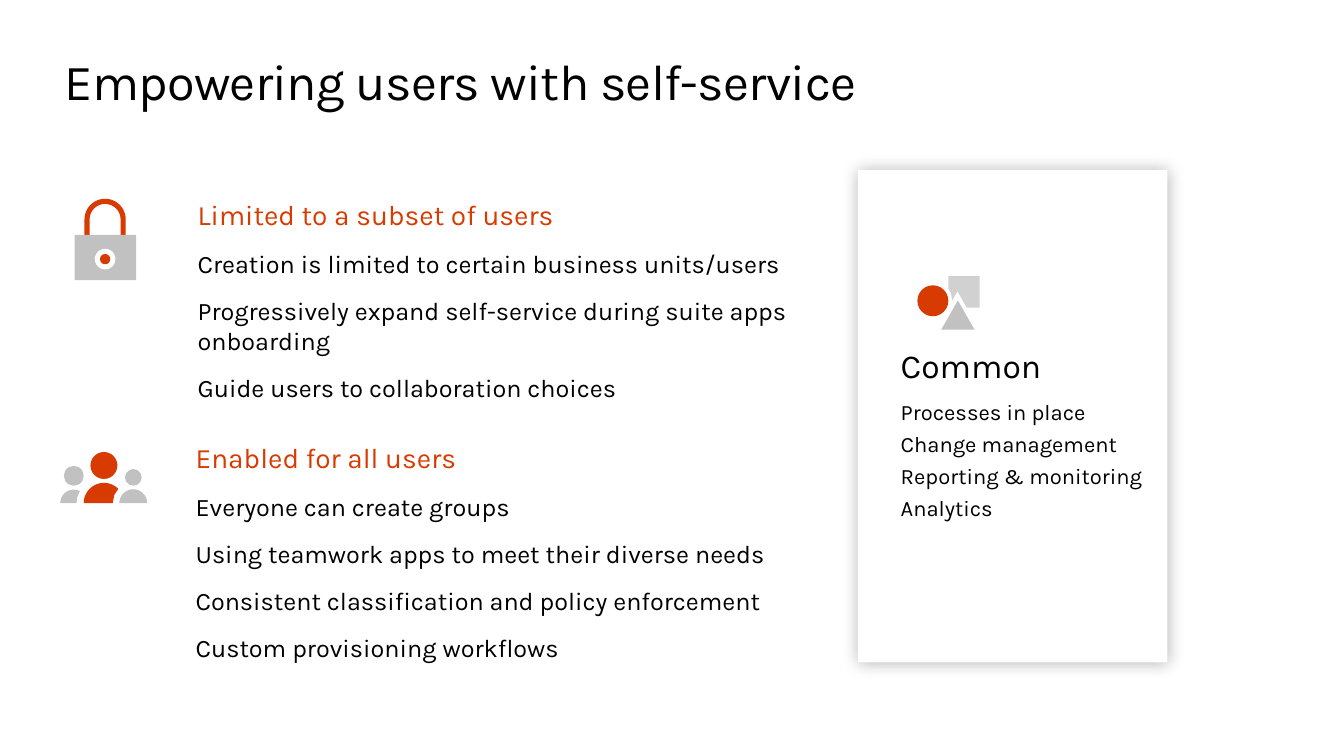
"""Builds the slide on empowering users with self-service."""
import math

from lxml import etree
from pptx import Presentation
from pptx import util as u
from pptx.dml.color import RGBColor
from pptx.enum import shapes, text
from pptx.oxml import ns

COLOURS = {
    "text": "000000",
    "accent": "D83B01",
    "grey": "C1C1C1",
    "light": "D1D1D1",
    "white": "FFFFFF",
}


def arc(x, y, radius, start, end, steps=24):
    angles = [math.radians(start + (end - start) * i / steps) for i in range(steps + 1)]
    return [(x + radius * math.cos(a), y + radius * math.sin(a)) for a in angles]


class SlideBuilder:
    """Holds the style and the current slide."""

    font = "Karla"

    def __init__(self, slide):
        self.slide = slide

    def colour(self, name):
        return RGBColor.from_string(COLOURS[name])

    def paint(self, shape, colour):
        shape.shadow.inherit = False
        shape.fill.solid()
        shape.fill.fore_color.rgb = self.colour(colour)
        shape.line.fill.background()
        return shape

    def preset(self, kind, x, y, width, height, colour):
        shape = self.slide.shapes.add_shape(kind, u.Cm(x), u.Cm(y), u.Cm(width), u.Cm(height))
        return self.paint(shape, colour)

    def circle(self, x, y, radius, colour):
        kind = shapes.MSO_SHAPE.OVAL
        return self.preset(kind, x - radius, y - radius, 2 * radius, 2 * radius, colour)

    def outline(self, points, colour):
        points = [(u.Cm(x), u.Cm(y)) for x, y in points]
        builder = self.slide.shapes.build_freeform(*points[0])
        builder.add_line_segments(points[1:], close=True)
        return self.paint(builder.convert_to_shape(), colour)

    def card(self, x, y, width, height):
        shape = self.preset(shapes.MSO_SHAPE.RECTANGLE, x, y, width, height, "white")
        effects = shape._element.spPr.find(ns.qn("a:effectLst"))
        shadow = etree.SubElement(effects, ns.qn("a:outerShdw"), blurRad=str(u.Pt(12)), dist="0", dir="0")
        black = etree.SubElement(shadow, ns.qn("a:srgbClr"), val=COLOURS["text"])
        etree.SubElement(black, ns.qn("a:alpha"), val="29000")

    def text_box(self, x, y, width, height, inset=0):
        box = self.slide.shapes.add_textbox(u.Cm(x), u.Cm(y), u.Cm(width), u.Cm(height))
        frame = box.text_frame
        frame.word_wrap = True
        frame.vertical_anchor = text.MSO_ANCHOR.TOP
        frame.margin_left = frame.margin_right = u.Cm(inset)
        frame.margin_top = frame.margin_bottom = u.Cm(inset)
        return frame

    def fill_paragraph(self, paragraph, words, size, colour="text", before=0, after=0, line=1.0):
        paragraph.text = words
        paragraph.space_before = u.Pt(before)
        paragraph.space_after = u.Pt(after)
        paragraph.line_spacing = line
        paragraph.font.name = self.font
        paragraph.font.size = u.Pt(size)
        paragraph.font.color.rgb = self.colour(colour)

    def title(self, words):
        paragraph = self.text_box(1.63, 1.27, 30.6, 1.55).paragraphs[0]
        self.fill_paragraph(paragraph, words, 36)
        paragraph.runs[0]._r.get_or_add_rPr().set("spc", "-50")

    def section(self, x, y, height, heading, points):
        frame = self.text_box(x, y, 17.15, height)
        self.fill_paragraph(frame.paragraphs[0], heading, 20, "accent", after=6)
        for point in points:
            self.fill_paragraph(frame.add_paragraph(), point, 18, before=6, after=6)

    def common_list(self, heading, items):
        frame = self.text_box(22.45, 8.43, 7.8, 6.6, inset=0.25)
        self.fill_paragraph(frame.paragraphs[0], heading, 24, after=11.8)
        for item in items:
            self.fill_paragraph(frame.add_paragraph(), item, 15.7, after=5.9, line=0.9)

    def lock_icon(self, x, top):
        shackle = [(x - 0.52, top), *arc(x, top - 0.39, 0.52, 180, 360), (x + 0.52, top),
                   (x + 0.39, top), *arc(x, top - 0.39, 0.39, 360, 180), (x - 0.39, top)]
        self.outline(shackle, "accent")
        self.preset(shapes.MSO_SHAPE.RECTANGLE, x - 0.77, top, 1.55, 1.14, "grey")
        self.circle(x, top + 0.61, 0.26, "white")
        self.circle(x, top + 0.61, 0.13, "accent")

    def people_icon(self, base):
        people = [
            (1.86, 0.34, 297, [(1.95, base - 0.16), (1.93, base)], 0.69, 0.25, "grey"),
            (2.62, 0.51, 315, [(2.88, base - 0.21), (2.84, base)], 0.95, 0.34, "accent"),
            (3.36, 0.35, 360, [], 0.65, 0.21, "grey"),
        ]
        for x, shoulder, end, notch, rise, head, colour in people:
            self.outline(arc(x, base, shoulder, 180, end) + notch, colour)
            self.circle(x, base - rise, head, colour)

    def shapes_icon(self):
        self.circle(23.51, 7.58, 0.39, "accent")
        self.preset(shapes.MSO_SHAPE.ISOSCELES_TRIANGLE, 23.72, 7.57, 0.84, 0.74, "grey")
        self.outline([(23.9, 7.26), (23.97, 7.41), (24, 7.57), (24.13, 7.34),
                      (24.36, 7.75), (24.69, 7.75), (24.69, 6.96), (23.9, 6.96)], "light")


def main():
    presentation = Presentation()
    presentation.slide_width = u.Cm(33.87)
    presentation.slide_height = u.Cm(19.05)
    builder = SlideBuilder(presentation.slides.add_slide(presentation.slide_layouts[6]))

    builder.title("Empowering users with self-service")
    builder.section(4.98, 4.98, 5.21, "Limited to a subset of users", [
        "Creation is limited to certain business units/users",
        "Progressively expand self-service during suite apps onboarding",
        "Guide users to collaboration choices",
    ])
    builder.lock_icon(2.65, 5.92)
    builder.section(4.93, 11.1, 5.64, "Enabled for all users", [
        "Everyone can create groups",
        "Using teamwork apps to meet their diverse needs",
        "Consistent classification and policy enforcement",
        "Custom provisioning workflows",
    ])
    builder.people_icon(12.68)
    builder.card(21.62, 4.29, 7.8, 12.4)
    builder.common_list("Common", [
        "Processes in place",
        "Change management",
        "Reporting & monitoring",
        "Analytics",
    ])
    builder.shapes_icon()
    presentation.save("out.pptx")


if __name__ == "__main__":
    main()
